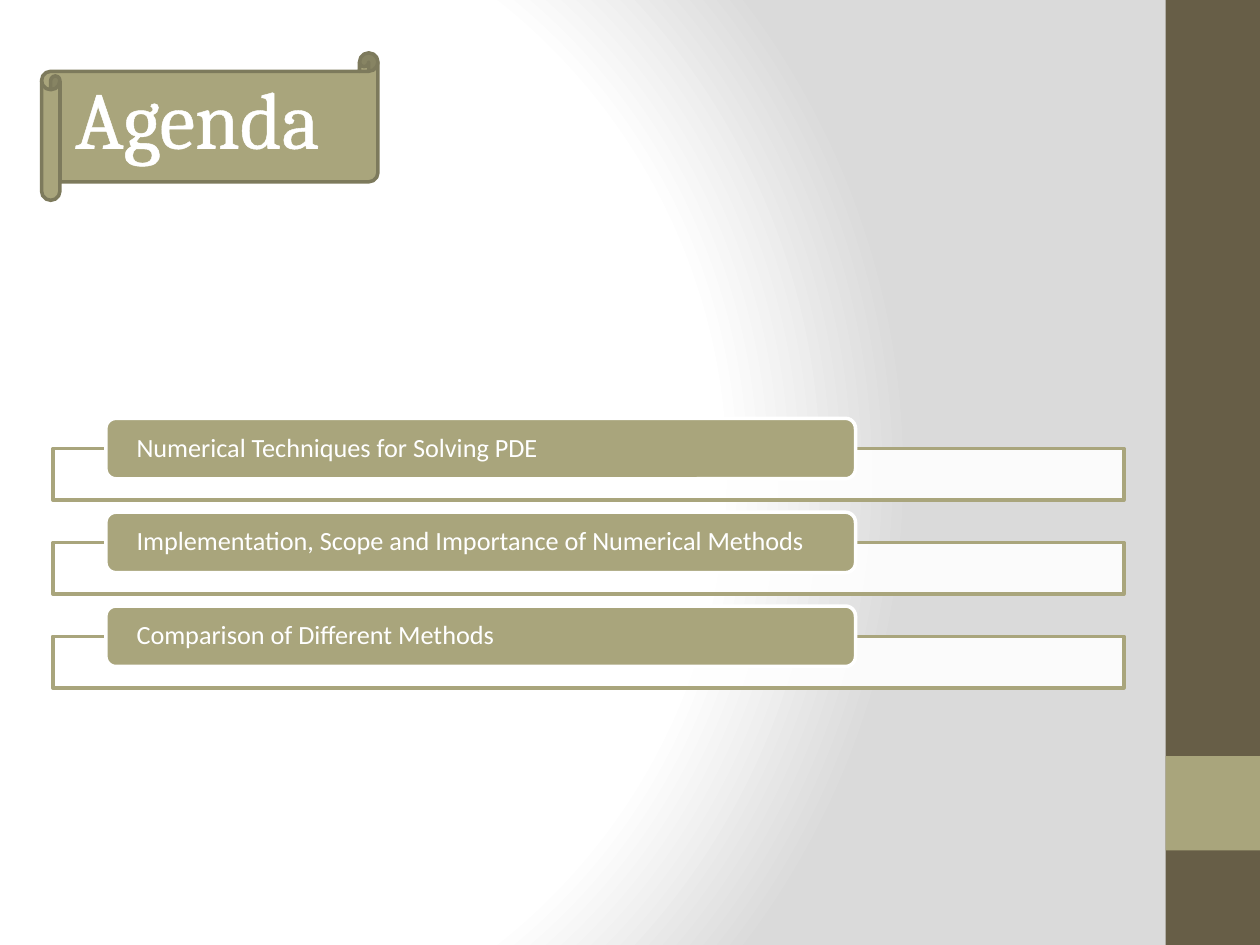
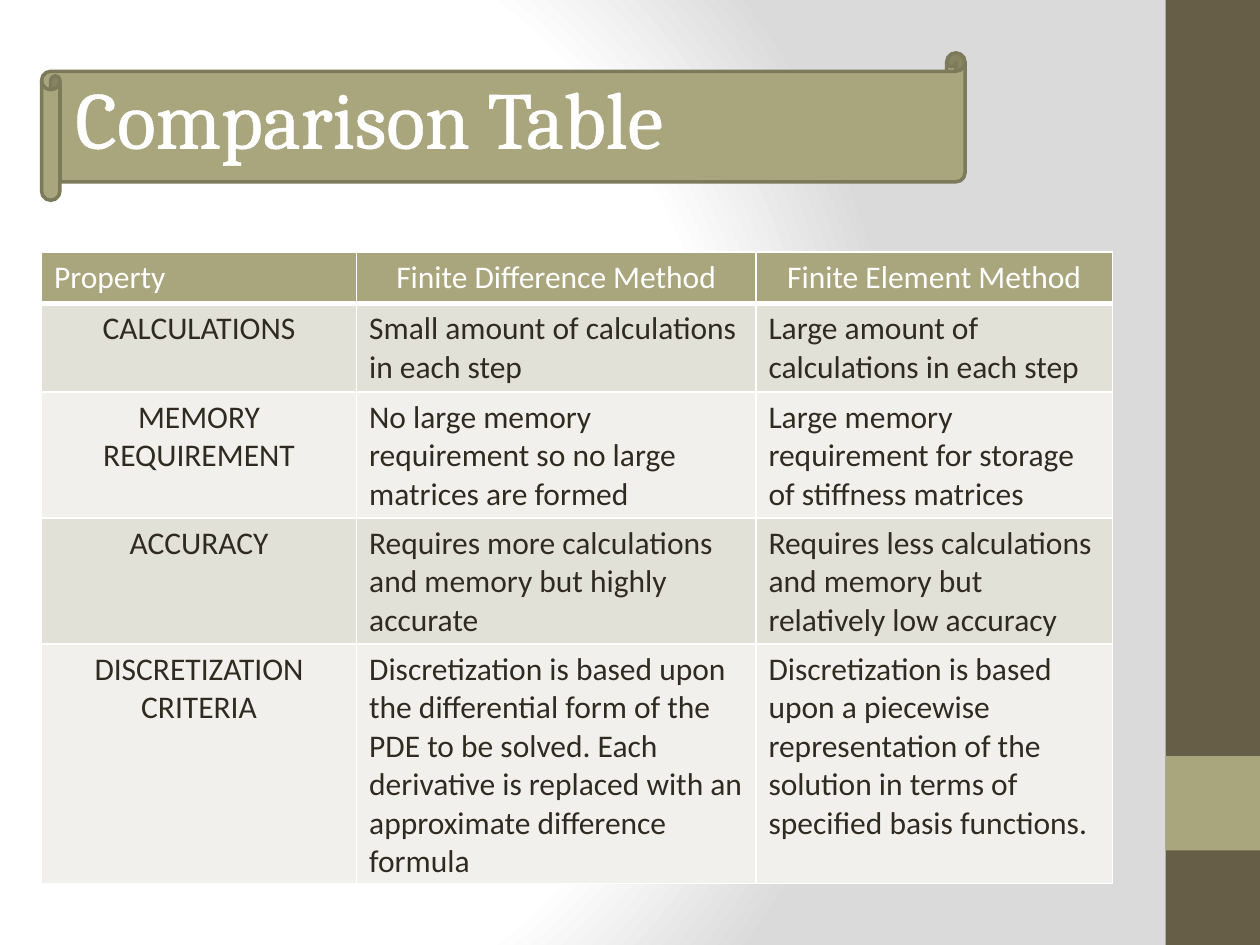
import pptx
import pptx.util
import pptx.dml.color
import pptx.enum.shapes
import pptx.enum.text
import pptx.oxml
import pptx.oxml.ns
import lxml.etree

Inches = pptx.util.Inches
Pt = pptx.util.Pt
SHAPE = pptx.enum.shapes.MSO_SHAPE
ALIGN = pptx.enum.text.PP_ALIGN
MIDDLE = pptx.enum.text.MSO_ANCHOR.MIDDLE
NAMESPACE = pptx.oxml.ns.nsdecls("a")

COLORS = {
    "white": "FFFFFF",
    "grey": "DADADA",
    "brown": "675E47",
    "olive": "A9A57C",
    "dark_olive": "7D7A5C",
    "ink": "2F2B20",
    "row_dark": "E2E1D7",
    "row_light": "F1F0EC",
}
HEADING_FONT = "Cambria"
BODY_FONT = "Calibri"

AGENDA_TITLE = "Agenda"
AGENDA = [
    "Numerical Techniques for Solving PDE",
    "Implementation, Scope and Importance of Numerical Methods",
    "Comparison of Different Methods",
]

COMPARISON_TITLE = "Comparison Table"
COMPARISON = [
    ("Property", "Finite Difference Method", "Finite Element Method"),
    ("CALCULATIONS",
     "Small amount of calculations in each step",
     "Large amount of calculations in each step"),
    ("MEMORY REQUIREMENT",
     "No large memory requirement so no large matrices are formed",
     "Large memory requirement for storage of stiffness matrices"),
    ("ACCURACY",
     "Requires more calculations and memory but highly accurate",
     "Requires less calculations and memory but relatively low accuracy"),
    ("DISCRETIZATION\nCRITERIA",
     "Discretization is based upon the differential form of the PDE to be solved. "
     "Each derivative is replaced with an approximate difference formula",
     "Discretization is based upon a piecewise representation of the solution "
     "in terms of specified basis functions."),
]
COLUMN_WIDTHS = [2.5, 3.17, 2.83]
ROW_HEIGHT = 0.41


def rgb(name):
    return pptx.dml.color.RGBColor.from_string(COLORS[name])


def solid_xml(name):
    return f'<a:solidFill><a:srgbClr val="{COLORS[name]}"/></a:solidFill>'


def set_background(master):
    fill = master.background.fill
    fill.gradient()
    stops = [(0, "white"), (75, "white"), (100, "grey")]
    stop_xml = "".join(
        f'<a:gs pos="{position * 1000}"><a:srgbClr val="{COLORS[name]}"/></a:gs>'
        for position, name in stops)
    gradient = pptx.oxml.parse_xml(
        f'<a:gradFill {NAMESPACE} rotWithShape="1"><a:gsLst>{stop_xml}</a:gsLst>'
        '<a:path path="circle"><a:fillToRect l="20000" t="50000" r="100000" b="50000"/>'
        '</a:path></a:gradFill>')
    existing = master.element.find(".//" + pptx.oxml.ns.qn("a:gradFill"))
    existing.getparent().replace(existing, gradient)


def add_box(slide, kind, left, top, width, height, fill, line=None):
    shape = slide.shapes.add_shape(
        kind, Inches(left), Inches(top), Inches(width), Inches(height))
    shape.shadow.inherit = False
    shape.fill.solid()
    shape.fill.fore_color.rgb = rgb(fill)
    if line:
        shape.line.color.rgb = rgb(line)
        shape.line.width = Pt(2)
    else:
        shape.line.fill.background()
    return shape


def format_text(paragraph, size, color, font=BODY_FONT, align=ALIGN.LEFT):
    paragraph.alignment = align
    for run in paragraph.runs:
        run.font.size = Pt(size)
        run.font.name = font
        run.font.color.rgb = rgb(color)


def add_title(slide, title, scroll_width):
    add_box(slide, SHAPE.HORIZONTAL_SCROLL, 0.33, 0.42, scroll_width, 1.17,
            "olive", "dark_olive")
    shape = slide.shapes.add_textbox(Inches(0.5), Inches(0.3), Inches(8.33), Inches(1.25))
    frame = shape.text_frame
    frame.word_wrap = True
    frame.vertical_anchor = MIDDLE
    frame.text = title
    paragraph = frame.paragraphs[0]
    format_text(paragraph, 46, "white", HEADING_FONT)
    outline = pptx.oxml.parse_xml(
        f'<a:ln {NAMESPACE} w="{Pt(1.45)}">{solid_xml("white")}</a:ln>')
    paragraph.runs[0].font._element.insert(0, outline)


def add_slide(presentation, title, scroll_width):
    slide = presentation.slides.add_slide(presentation.slide_layouts[6])
    add_box(slide, SHAPE.RECTANGLE, 9.25, 0, 0.75, 7.5, "brown")
    add_box(slide, SHAPE.RECTANGLE, 9.25, 6, 0.75, 0.75, "olive")
    add_title(slide, title, scroll_width)
    return slide


def add_agenda_item(slide, text, top):
    frame_box = add_box(slide, SHAPE.RECTANGLE, 0.42, top + 0.24, 8.5, 0.41,
                        "white", "olive")
    color = frame_box.fill._xPr.find(".//" + pptx.oxml.ns.qn("a:srgbClr"))
    lxml.etree.SubElement(color, pptx.oxml.ns.qn("a:alpha"), val="90000")
    label = add_box(slide, SHAPE.ROUNDED_RECTANGLE, 0.84, top, 5.95, 0.48,
                    "olive", "white")
    frame = label.text_frame
    frame.word_wrap = True
    frame.vertical_anchor = MIDDLE
    frame.margin_left = frame.margin_right = Inches(0.22)
    frame.margin_top = frame.margin_bottom = 0
    frame.text = text
    frame.paragraphs[0].line_spacing = 0.9
    format_text(frame.paragraphs[0], 15, "white")


def set_borders(cell, bottom_width):
    properties = cell._tc.get_or_add_tcPr()
    widths = {"lnL": 1, "lnR": 1, "lnT": 1, "lnB": bottom_width}
    for position, (tag, width) in enumerate(widths.items()):
        properties.insert(position, pptx.oxml.parse_xml(
            f'<a:{tag} {NAMESPACE} w="{Pt(width)}">{solid_xml("white")}</a:{tag}>'))


def add_comparison_table(slide):
    graphic_frame = slide.shapes.add_table(
        len(COMPARISON), len(COLUMN_WIDTHS), Inches(0.33), Inches(2),
        Inches(sum(COLUMN_WIDTHS)), Inches(ROW_HEIGHT * len(COMPARISON)))
    table = graphic_frame.table
    for column, width in zip(table.columns, COLUMN_WIDTHS):
        column.width = Inches(width)
    for row_index, texts in enumerate(COMPARISON):
        table.rows[row_index].height = Inches(ROW_HEIGHT)
        header = row_index == 0
        fill = "olive" if header else ("row_light", "row_dark")[row_index % 2]
        for column_index, text in enumerate(texts):
            cell = table.cell(row_index, column_index)
            cell.fill.solid()
            cell.fill.fore_color.rgb = rgb(fill)
            set_borders(cell, 3 if header else 1)
            cell.text_frame.text = text
            centered = header != (column_index == 0)
            for paragraph in cell.text_frame.paragraphs:
                format_text(paragraph, 18, "white" if header else "ink",
                            align=ALIGN.CENTER if centered else ALIGN.LEFT)


def main():
    presentation = pptx.Presentation()
    presentation.slide_width = Inches(10)
    presentation.slide_height = Inches(7.5)
    set_background(presentation.slide_master)

    agenda_slide = add_slide(presentation, AGENDA_TITLE, 2.67)
    for index, text in enumerate(AGENDA):
        add_agenda_item(agenda_slide, text, 3.32 + index * 0.745)

    comparison_slide = add_slide(presentation, COMPARISON_TITLE, 7.33)
    add_comparison_table(comparison_slide)

    presentation.save("out.pptx")


if __name__ == "__main__":
    main()
